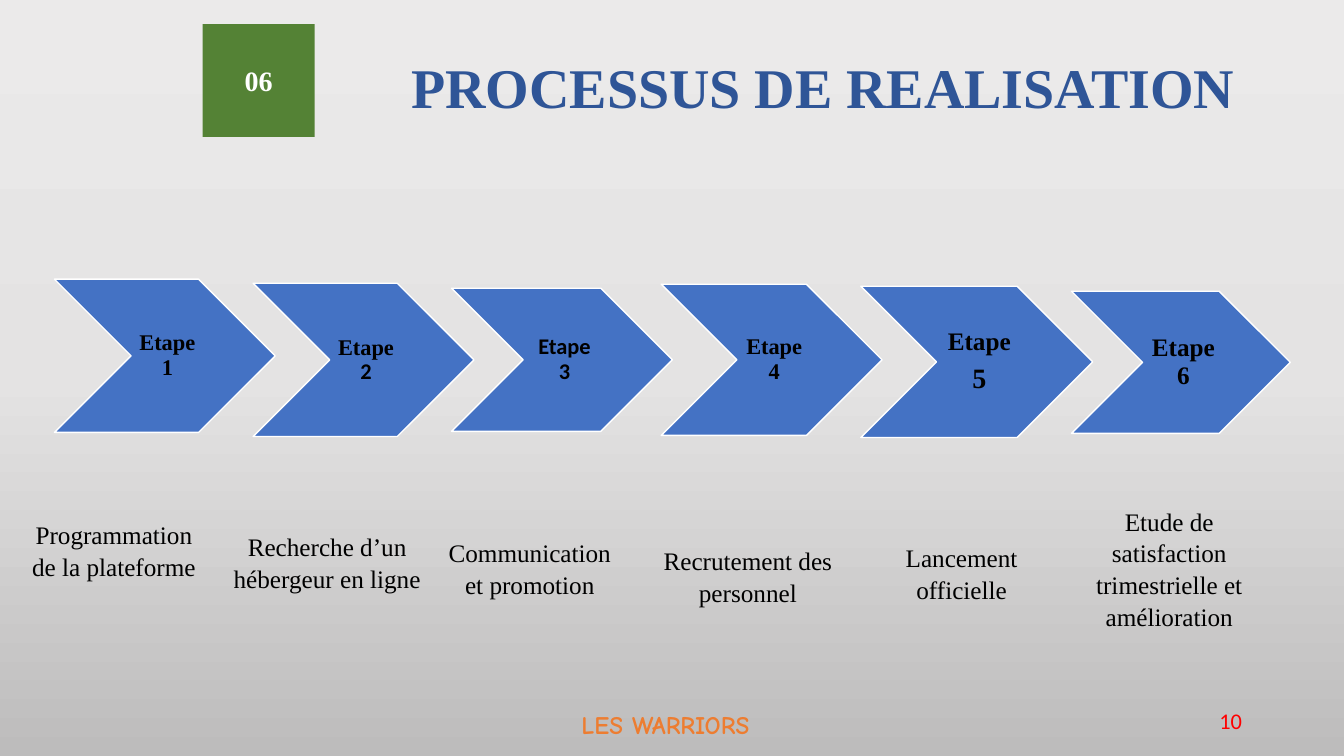
from copy import deepcopy
from typing import NamedTuple

from pptx import Presentation
from pptx.dml.color import RGBColor
from pptx.enum.shapes import MSO_SHAPE
from pptx.enum.text import MSO_ANCHOR, MSO_AUTO_SIZE, PP_ALIGN
from pptx.shapes.autoshape import Shape
from pptx.slide import Slide
from pptx.util import Inches, Pt

SLIDE_WIDTH, SLIDE_HEIGHT = Inches(13.33), Inches(7.5)
COLUMN, ROW = SLIDE_WIDTH / 100, SLIDE_HEIGHT / 100

BLACK = RGBColor(0x00, 0x00, 0x00)
WHITE = RGBColor(0xFF, 0xFF, 0xFF)
GREEN = RGBColor(0x54, 0x82, 0x35)
NAVY = RGBColor(0x2F, 0x55, 0x97)
BLUE = RGBColor(0x44, 0x72, 0xC4)
ORANGE = RGBColor(0xED, 0x7D, 0x31)
RED = RGBColor(0xFF, 0x00, 0x00)
BACKDROP = (
    (0, RGBColor(0xEB, 0xEA, 0xEA)),
    (0.5, RGBColor(0xE4, 0xE3, 0xE3)),
    (1, RGBColor(0xBD, 0xBC, 0xBC)),
)

SERIF, SANS, COMIC = "Times New Roman", "Calibri", "Comic Neue"


class Area(NamedTuple):
    column: float
    row: float
    columns: float
    rows: float


class Line(NamedTuple):
    text: str
    size: int
    font: str = SERIF
    color: RGBColor = BLACK
    bold: bool = False
    align: PP_ALIGN = PP_ALIGN.CENTER
    spacing: float = 1.0
    ending: str = ""


class Step(NamedTuple):
    arrow: Area
    label: tuple[Line, ...]
    caption_area: Area
    caption: str


def step_line(text: str, size: int = 16, font: str = SERIF, ending: str = "") -> Line:
    return Line(text, size, font, bold=True, spacing=0.9, ending=ending)


STEPS = (
    Step(Area(4.05, 36.93, 16.43, 20.27), (step_line("Etape 1"),),
         Area(1.35, 65.2, 14.25, 14.93), "Programmation de la plateforme"),
    Step(Area(18.83, 37.47, 16.43, 20.27), (step_line("Etape", ending=" 2"),),
         Area(16.13, 66.13, 16.43, 16.27), "Recherche d’un hébergeur en ligne"),
    Step(Area(33.6, 38.13, 16.43, 18.93), (step_line("Etape 3", font=SANS),),
         Area(32.48, 66.8, 13.88, 16.53), "Communication et promotion"),
    Step(Area(49.2, 37.6, 16.43, 20), (step_line("Etape 4"),),
         Area(47.85, 67.07, 15.6, 18.13), "Recrutement des personnel"),
    Step(Area(64.05, 37.87, 17.25, 20), (step_line("Etape", 18), step_line("5", 20)),
         Area(65.03, 68.13, 13.05, 15.33), "Lancement officielle"),
    Step(Area(79.73, 38.53, 16.28, 18.8), (step_line("Etape 6", 18),),
         Area(78.6, 67.47, 16.8, 15.33), "Etude de satisfaction trimestrielle et amélioration"),
)


def bounds(area: Area) -> tuple[int, int, int, int]:
    return (round(area.column * COLUMN), round(area.row * ROW),
            round(area.columns * COLUMN), round(area.rows * ROW))


def write(holder: Shape, lines: tuple[Line, ...], anchor: MSO_ANCHOR) -> None:
    frame = holder.text_frame
    frame.word_wrap = True
    frame.auto_size = MSO_AUTO_SIZE.NONE
    frame.vertical_anchor = anchor
    for index, line in enumerate(lines):
        paragraph = frame.paragraphs[0] if index == 0 else frame.add_paragraph()
        paragraph.alignment = line.align
        paragraph.line_spacing = line.spacing
        paragraph.add_run().text = line.text
        paragraph.font.name = line.font
        paragraph.font.size = Pt(line.size)
        paragraph.font.bold = line.bold
        paragraph.font.color.rgb = line.color
        if line.ending:
            ending = paragraph.add_run()
            ending.text = line.ending
            ending.font.name = SANS


def add_text(slide: Slide, area: Area, line: Line, anchor: MSO_ANCHOR) -> None:
    write(slide.shapes.add_textbox(*bounds(area)), (line,), anchor)


def add_block(slide: Slide, preset: MSO_SHAPE, area: Area, fill: RGBColor,
              lines: tuple[Line, ...]) -> Shape:
    block = slide.shapes.add_shape(preset, *bounds(area))
    block.shadow.inherit = False
    block.fill.solid()
    block.fill.fore_color.rgb = fill
    block.line.fill.background()
    write(block, lines, MSO_ANCHOR.MIDDLE)
    return block


def add_step(slide: Slide, step: Step) -> None:
    arrow = add_block(slide, MSO_SHAPE.CHEVRON, step.arrow, BLUE, step.label)
    arrow.line.color.rgb = WHITE
    arrow.line.width = Pt(1)
    label = arrow.text_frame
    label.margin_left = Inches(0.07)
    label.margin_top = label.margin_right = label.margin_bottom = Inches(0.02)
    for paragraph in label.paragraphs:
        paragraph.space_after = Pt(6)
    add_text(slide, step.caption_area, Line(step.caption, 18, spacing=1.05), MSO_ANCHOR.MIDDLE)


def paint_background(slide: Slide) -> None:
    fill = slide.background.fill
    fill.gradient()
    fill.gradient_angle = 270
    first_stop = slide.element.xpath(".//a:gsLst/a:gs")[0]
    first_stop.addnext(deepcopy(first_stop))
    for stop, (position, color) in zip(fill.gradient_stops, BACKDROP):
        stop.position = position
        stop.color.rgb = color


def main() -> None:
    presentation = Presentation()
    presentation.slide_width, presentation.slide_height = SLIDE_WIDTH, SLIDE_HEIGHT
    slide = presentation.slides.add_slide(presentation.slide_layouts[5])
    paint_background(slide)

    heading = slide.shapes.title
    heading.left, heading.top, heading.width, heading.height = bounds(Area(29.85, 6.27, 67.13, 10.27))
    write(heading, (Line("PROCESSUS DE REALISATION", 40, color=NAVY, bold=True,
                         align=PP_ALIGN.LEFT),), MSO_ANCHOR.TOP)
    add_block(slide, MSO_SHAPE.RECTANGLE, Area(15.08, 3.2, 8.33, 14.93), GREEN,
              (Line("06", 20, color=WHITE, bold=True),))

    for step in STEPS:
        add_step(slide, step)

    add_text(slide, Area(42.53, 93.2, 22.5, 5.33),
             Line("LES WARRIORS", 18, COMIC, ORANGE, True, PP_ALIGN.LEFT), MSO_ANCHOR.TOP)
    add_text(slide, Area(70.65, 92.67, 22.5, 5.33),
             Line("10", 16, SANS, RED, align=PP_ALIGN.RIGHT), MSO_ANCHOR.MIDDLE)
    presentation.save("out.pptx")


if __name__ == "__main__":
    main()
